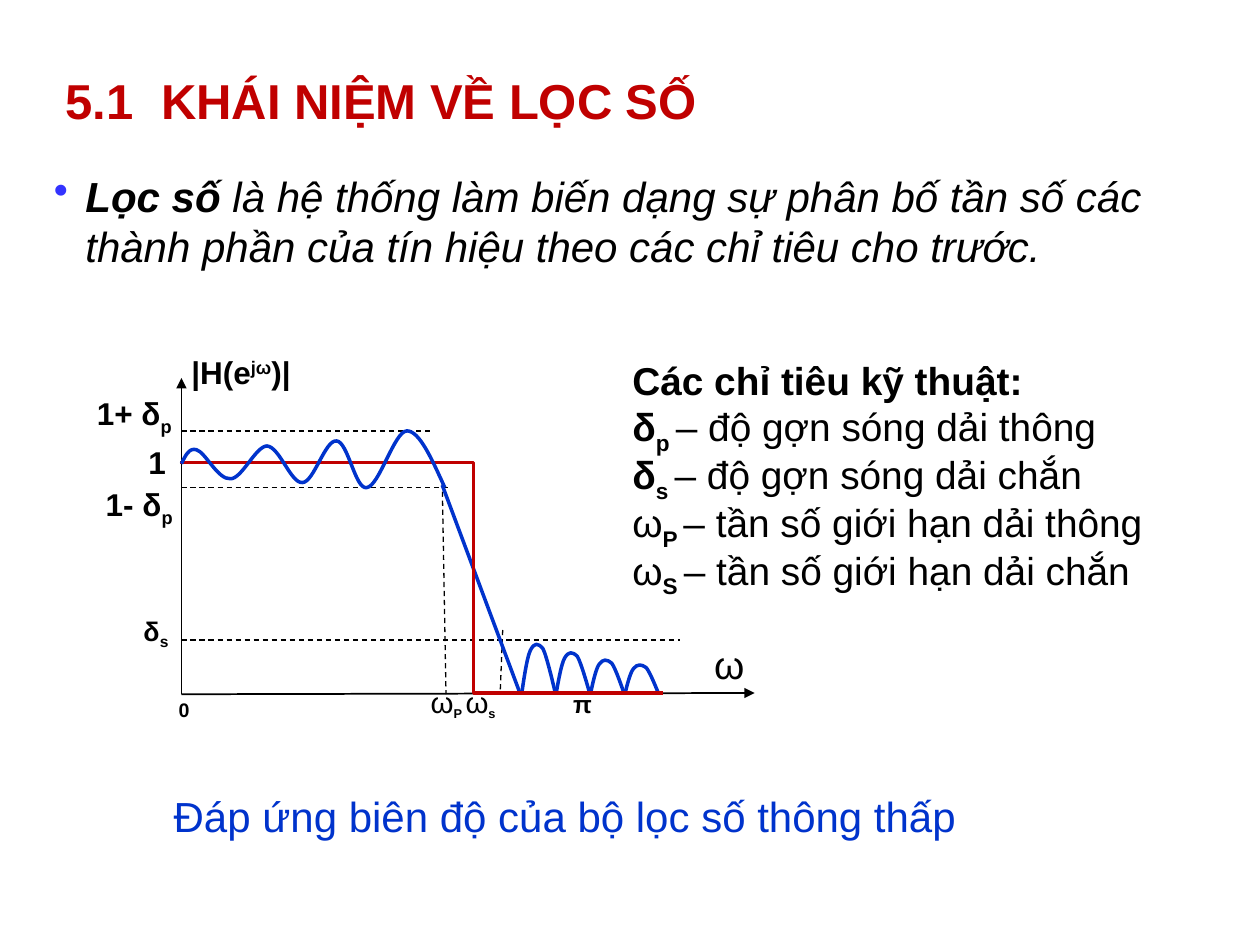
"""Build a slide on digital filters with a low-pass magnitude response diagram."""
import lxml.etree
import pptx
import pptx.dml.color
import pptx.enum.dml
import pptx.enum.text
import pptx.oxml.ns
import pptx.util

Inches = pptx.util.Inches
Pt = pptx.util.Pt
RGBColor = pptx.dml.color.RGBColor
qn = pptx.oxml.ns.qn
MIDDLE = pptx.enum.text.MSO_ANCHOR.MIDDLE
TOP = pptx.enum.text.MSO_ANCHOR.TOP

BLACK = RGBColor(0x00, 0x00, 0x00)
RED = RGBColor(0xC0, 0x00, 0x00)
BLUE = RGBColor(0x00, 0x33, 0xCC)
BULLET_BLUE = RGBColor(0x33, 0x33, 0xFF)

ORIGIN = (1.44, 5.51)
LOBE_LEFT, LOBE_STEP = 4.14, 0.273
LOBE_HEIGHTS = (0.41, 0.34, 0.28, 0.24)
LOBE_PROFILE = (
    (0, 0), (0.01, 0.15), (0.04, 0.71), (0.07, 0.85), (0.10, 1), (0.13, 1),
    (0.17, 0.88), (0.20, 0.73), (0.25, 0.2), (0.27, 0),
)
RIPPLE = (
    (1.44, 3.68), (1.47, 3.62), (1.5, 3.55), (1.56, 3.57), (1.63, 3.59),
    (1.73, 3.81), (1.83, 3.8), (1.92, 3.8), (2.03, 3.54), (2.12, 3.54),
    (2.22, 3.55), (2.31, 3.84), (2.4, 3.83), (2.49, 3.83), (2.58, 3.49),
    (2.67, 3.5), (2.76, 3.5), (2.82, 3.89), (2.91, 3.87), (3.01, 3.86),
    (3.13, 3.42), (3.23, 3.42), (3.33, 3.42), (3.43, 3.65), (3.53, 3.87),
)
IDEAL_RESPONSE = ((1.43, 3.67), (3.76, 3.67), (3.76, 5.5), (5.26, 5.5))
GUIDES = (
    ((1.44, 3.42), (3.44, 3.42)),
    ((1.44, 3.87), (3.57, 3.87)),
    ((1.44, 5.08), (5.4, 5.08)),
    ((3.51, 3.83), (3.54, 5.51)),
    ((3.99, 5), (3.97, 5.5)),
)
CRITERIA = (
    ("δ", "p ", True, "– độ gợn sóng dải thông"),
    ("δ", "s ", True, "– độ gợn sóng dải chắn"),
    ("ω", "P ", False, "– tần số giới hạn dải thông"),
    ("ω", "S ", False, "– tần số giới hạn dải chắn"),
)
LABELS = (
    ((5.57, 5.08, 0.42, 0.5), 0.9, 22.2, False, (("ω", 0),)),
    ((1.32, 5.53, 0.33, 0.3), 0.8, 11.2, True, (("0", 0),)),
    ((1.04, 4.83, 0.52, 0.4), 0.9, 15.3, True, (("δ", 0), ("s", -25))),
    ((0.74, 3.8, 0.82, 0.45), 1.0, 18, True, (("1- δ", 0), ("p", -25))),
    ((0.67, 3.08, 0.82, 0.45), 1.0, 18, True, (("1+ δ", 0), ("p", -25))),
    ((1.08, 3.47, 0.4, 0.45), 1.0, 18, True, (("1", 0),)),
    ((1.42, 2.75, 1, 0.45), 1.0, 18, True, (("|H(e", 0), ("jω", 30), (")|", 0))),
)


def add_run(paragraph, text, size, color=BLACK, bold=False, italic=False, baseline=0):
    """Append one formatted run, with its baseline shift in percent."""
    run = paragraph.add_run()
    run.text = text
    run.font.name = "Arial"
    run.font.size = Pt(size)
    run.font.bold = bold
    run.font.italic = italic
    run.font.color.rgb = color
    if baseline:
        run._r.get_or_add_rPr().set("baseline", str(baseline * 1000))


def add_text(slide, box, anchor=TOP, spacing=1.0):
    """Add a wrapping text box and return its first paragraph."""
    frame = slide.shapes.add_textbox(*map(Inches, box)).text_frame
    frame.word_wrap = True
    frame.vertical_anchor = anchor
    paragraph = frame.paragraphs[0]
    paragraph.line_spacing = spacing
    return paragraph


def add_tab_stop(paragraph, position):
    """Give a paragraph one left tab stop."""
    stops = lxml.etree.SubElement(paragraph._p.get_or_add_pPr(), qn("a:tabLst"))
    lxml.etree.SubElement(stops, qn("a:tab"), pos=str(Inches(position)), algn="l")


def add_bullet(paragraph, indent):
    """Give a paragraph a coloured bullet with a hanging indent."""
    properties = paragraph._p.get_or_add_pPr()
    properties.set("marL", str(Inches(indent)))
    properties.set("indent", str(-Inches(indent)))
    color = lxml.etree.SubElement(properties, qn("a:buClr"))
    lxml.etree.SubElement(color, qn("a:srgbClr"), val=str(BULLET_BLUE))
    lxml.etree.SubElement(properties, qn("a:buChar"), char="•")


def add_line(slide, start, end, color=BLACK, width=1.0, dashed=False, arrow=False):
    """Draw a straight line, dashed or with an arrowhead at its end if asked."""
    connector = slide.shapes.add_connector(
        pptx.enum.shapes.MSO_CONNECTOR.STRAIGHT, *map(Inches, (*start, *end)))
    connector.line.color.rgb = color
    connector.line.width = Pt(width)
    if dashed:
        connector.line.dash_style = pptx.enum.dml.MSO_LINE.DASH
    if arrow:
        lxml.etree.SubElement(
            connector.line._get_or_add_ln(), qn("a:tailEnd"), type="triangle")
    lxml.etree.SubElement(connector._element.spPr, qn("a:effectLst"))


def add_outline(slide, points, color, curved=False):
    """Draw an open outline through points, or a Bézier curve they control."""
    start, *rest = [tuple(map(Inches, point)) for point in points]
    builder = slide.shapes.build_freeform(*start)
    builder.add_line_segments(rest, close=False)
    outline = builder.convert_to_shape()
    outline.fill.background()
    outline.line.color.rgb = color
    outline.line.width = Pt(2)
    outline.shadow.inherit = False
    if curved:
        segments = list(outline._element.iter(qn("a:lnTo")))
        for first in range(0, len(segments), 3):
            bezier = lxml.etree.SubElement(
                segments[first].getparent(), qn("a:cubicBezTo"))
            for segment in segments[first:first + 3]:
                bezier.append(segment[0])
                segment.getparent().remove(segment)


def add_title(slide):
    """Place and format the slide title."""
    title = slide.shapes.title
    title.left, title.top, title.width, title.height = map(
        Inches, (0.42, 0.5, 9.33, 0.58))
    frame = title.text_frame
    frame.auto_size = pptx.enum.text.MSO_AUTO_SIZE.NONE
    frame.vertical_anchor = MIDDLE
    heading = frame.paragraphs[0]
    heading.alignment = pptx.enum.text.PP_ALIGN.LEFT
    add_tab_stop(heading, 0.76)
    add_run(heading, "5.1\tKHÁI NIỆM VỀ LỌC SỐ", 28, RED, bold=True)


def add_explanations(slide):
    """Write the definition, the technical criteria and the caption."""
    definition = add_text(slide, (0.33, 1.25, 9.33, 1), MIDDLE)
    add_bullet(definition, 0.25)
    add_run(definition, "Lọc số", 24, bold=True, italic=True)
    add_run(definition, " là hệ thống làm biến dạng sự phân bố tần số các thành phần "
            "của tín hiệu theo các chỉ tiêu cho trước.", 24, italic=True)

    criteria = add_text(slide, (4.92, 2.67, 4.75, 2.25), MIDDLE, 0.9)
    add_run(criteria, "Các chỉ tiêu kỹ thuật:", 22.2, bold=True)
    for symbol, subscript, bold, meaning in CRITERIA:
        criteria.add_line_break()
        add_run(criteria, symbol, 22.2, bold=bold)
        add_run(criteria, subscript, 22.2, bold=True, baseline=-25)
        add_run(criteria, meaning, 22.2)

    caption = add_text(slide, (1.28, 6.18, 7.06, 0.58), MIDDLE)
    add_run(caption, "Đáp ứng biên độ của bộ lọc số thông thấp", 24, BLUE)


def add_response(slide):
    """Draw the axes, guides and the ideal and real magnitude responses."""
    add_line(slide, ORIGIN, (1.44, 3), arrow=True)
    add_line(slide, ORIGIN, (5.99, 5.5), arrow=True)
    for start, end in GUIDES:
        add_line(slide, start, end, width=0.75, dashed=True)
    add_line(slide, (3.51, 3.85), (4.13, 5.51), BLUE, 2)
    for index, height in enumerate(LOBE_HEIGHTS):
        left = LOBE_LEFT + index * LOBE_STEP
        lobe = [(left + x, ORIGIN[1] - height * y) for x, y in LOBE_PROFILE]
        add_outline(slide, lobe, BLUE, curved=True)
    add_outline(slide, IDEAL_RESPONSE, RED)
    add_outline(slide, RIPPLE, BLUE, curved=True)


def add_labels(slide):
    """Label the axes, the levels and the frequencies."""
    for box, spacing, size, bold, parts in LABELS:
        label = add_text(slide, box, spacing=spacing)
        for text, baseline in parts:
            add_run(label, text, size, bold=bold, baseline=baseline)

    frequencies = add_text(slide, (3.32, 5.42, 2.17, 0.42), spacing=0.8)
    add_tab_stop(frequencies, 1.13)
    for subscript in ("P ", "s"):
        add_run(frequencies, "ω", 16.8)
        add_run(frequencies, subscript, 12.6, bold=True, baseline=-25)
    add_run(frequencies, "\tπ", 14, bold=True)


def main():
    """Build and save the slide."""
    deck = pptx.Presentation()
    deck.slide_width, deck.slide_height = Inches(10), Inches(7.5)
    slide = deck.slides.add_slide(deck.slide_layouts[5])
    add_title(slide)
    add_explanations(slide)
    add_response(slide)
    add_labels(slide)
    deck.save("out.pptx")


if __name__ == "__main__":
    main()
